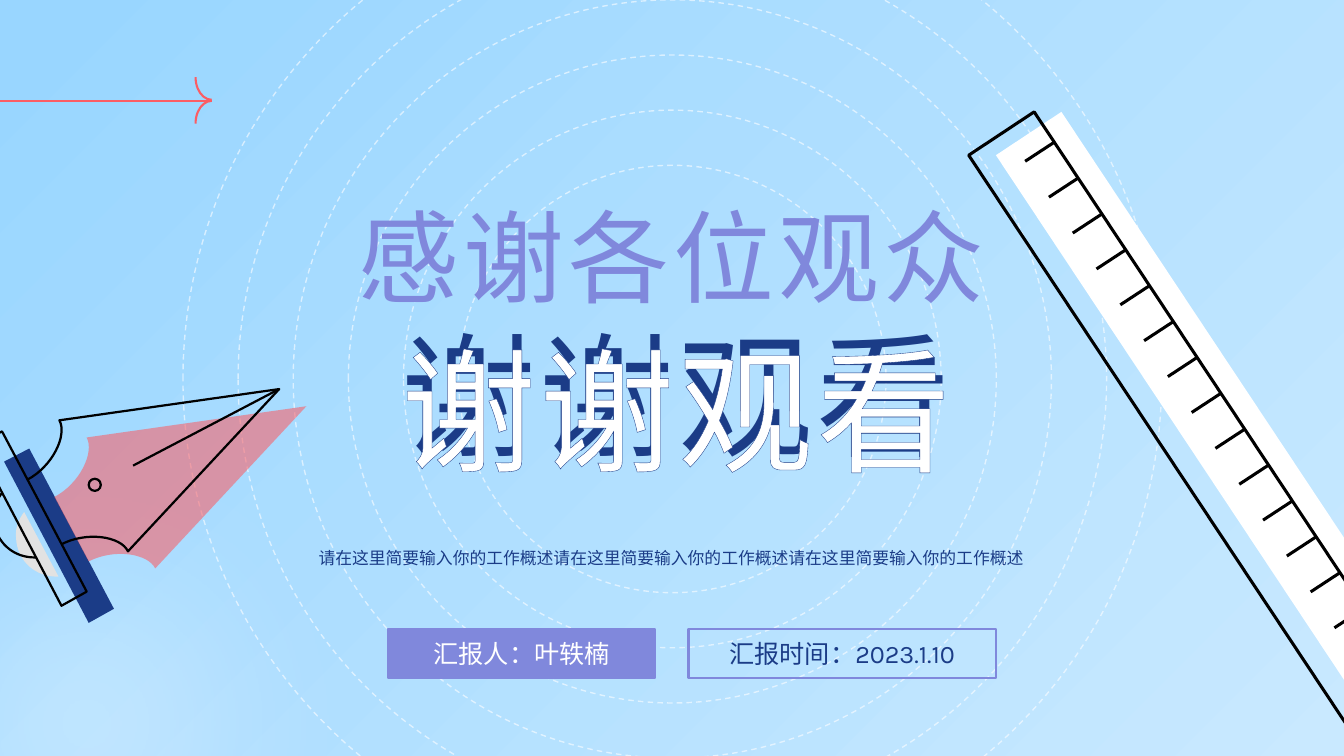
from lxml.etree import SubElement
from pptx import Presentation
from pptx.dml.color import RGBColor
from pptx.enum.dml import MSO_LINE
from pptx.enum.shapes import MSO_CONNECTOR, MSO_SHAPE
from pptx.enum.text import MSO_ANCHOR, MSO_AUTO_SIZE, PP_ALIGN
from pptx.oxml.ns import qn
from pptx.util import Inches, Pt

CELL = Inches(0.1)  # grid: 133.33 columns by 75 rows
COLS, ROWS = 133.33, 75
NAVY = RGBColor(0x1B, 0x3C, 0x87)
VIOLET = RGBColor(0x80, 0x88, 0xDC)
RED = RGBColor(0xFB, 0x5D, 0x64)
WHITE = RGBColor(0xFF, 0xFF, 0xFF)
BLACK = RGBColor(0, 0, 0)
GREY = RGBColor(0xE2, 0xE2, 0xE2)
PALE = RGBColor(0xC9, 0xE9, 0xFF)
SKY = RGBColor(0x99, 0xD6, 0xFF)
SANS = "Noto Sans CJK SC"
GOTHIC = "Noto Sans CJK JP"


def grid(*cells):
    return [round(cell * CELL) for cell in cells]


def fade(part, share):
    """Set the opacity, in percent, of each colour in a shape."""
    for color in part.element.spPr.iter(qn("a:srgbClr")):
        SubElement(color, qn("a:alpha"), val=str(share * 1000))


def paint(part, fill=None, line=None, width=1.5, share=None):
    part.shadow.inherit = False
    if fill is None:
        part.fill.background()
    else:
        part.fill.solid()
        part.fill.fore_color.rgb = fill
    if line is None:
        part.line.fill.background()
    else:
        part.line.color.rgb = line
        part.line.width = Pt(width)
    if share:
        fade(part, share)
    return part


def add_form(home, kind, box, **look):
    return paint(home.shapes.add_shape(kind, *grid(*box)), **look)


def add_glow(slide, x, y, size, color, share):
    glow = add_form(slide, MSO_SHAPE.OVAL, (x, y, size, size), fill=color, share=share)
    soft = glow.element.spPr.find(qn("a:effectLst"))
    SubElement(soft, qn("a:softEdge"), rad=str(Inches(2)))


def curve(start, *ends, steps=16):
    """Points along a cubic curve, after its start."""
    knots = (start, *ends)
    points = []
    for step in range(1, steps + 1):
        t = step / steps
        rates = ((1 - t) ** 3, 3 * t * (1 - t) ** 2, 3 * t * t * (1 - t), t ** 3)
        points.append(tuple(sum(r * k[axis] for r, k in zip(rates, knots)) for axis in (0, 1)))
    return points


def add_path(home, points, shift=(0, 0), close=False, **look):
    spots = [grid(x + shift[0], y + shift[1]) for x, y in points]
    pen = home.shapes.build_freeform(*spots[0])
    pen.add_line_segments(spots[1:], close=close)
    return paint(pen.convert_to_shape(), **look)


def write(part, text, size, font, color, asian=None, gap=0, edge=False, lead=1.0,
          anchor=MSO_ANCHOR.TOP):
    frame = part.text_frame
    para = frame.paragraphs[0]
    run = para.add_run()
    run.text = text
    looks = (
        (frame, dict(word_wrap=True, auto_size=MSO_AUTO_SIZE.NONE, vertical_anchor=anchor)),
        (para, dict(alignment=PP_ALIGN.CENTER, line_spacing=lead, space_before=Pt(0))),
        (run.font, dict(size=Pt(size), name=font)),
    )
    for item, values in looks:
        for name, value in values.items():
            setattr(item, name, value)
    run.font.color.rgb = color
    props = run.font._element
    if gap:
        props.set("spc", str(gap * 100))
    latin = props.find(qn("a:latin"))
    east = SubElement(props, qn("a:ea"), typeface=asian or font)
    latin.addnext(east)
    if edge:
        line = SubElement(props, qn("a:ln"), w=str(Pt(1)))
        solid = SubElement(line, qn("a:solidFill"))
        SubElement(solid, qn("a:srgbClr"), val=str(NAVY))
        props.insert(0, line)


def add_label(slide, box, *words, **look):
    write(slide.shapes.add_textbox(*grid(*box)), *words, **look)


def place(holder, box, *words, **look):
    """Move a placeholder to a box, in front of all else, and fill it."""
    holder.left, holder.top, holder.width, holder.height = grid(*box)
    holder.element.getparent().append(holder.element)
    write(holder, *words, **look)


def add_rings(slide):
    home = slide.shapes.add_group_shape()
    for rank in range(6):
        size = 42.4 + 10.94 * rank
        ring = add_form(home, MSO_SHAPE.OVAL, (66.7 - size / 2, 37.6 - size / 2, size, size),
                        line=WHITE, width=1)
        ring.line.dash_style = MSO_LINE.DASH
        fade(ring, 59)


def add_arrow(slide):
    home = slide.shapes.add_group_shape()
    shaft = home.shapes.add_connector(MSO_CONNECTOR.STRAIGHT, *grid(-5.6, 10, 21, 10))
    shaft.line.color.rgb = RED
    shaft.line.width = Pt(1.5)
    SubElement(shaft.element.spPr, qn("a:effectLst"))
    for top, flip in ((5.4, "0"), (10, "1")):
        barb = add_form(home, MSO_SHAPE.ARC, (19.4, top, 3.2, 4.5), line=RED)
        barb.rotation = 180
        barb.element.spPr.xfrm.set("flipV", flip)


def add_pen(slide):
    home = slide.shapes.add_group_shape()
    clip = [(5.8, 57.2), *curve((5.8, 57.2), (3.6, 57.3), (1.7, 55.7), (1.6, 53.4)),
            *curve((1.6, 53.4), (1.5, 52.5), (1.8, 51.6), (2.4, 50.8))]
    band = [(2.9, 44.5), (11.3, 60.4), (8.8, 61.8), (0.4, 45.8)]
    nib = [(8.8, 55.7), *curve((8.8, 55.7), (11.3, 54.4), (14.7, 54.9), (15.4, 56.4)),
           (30.4, 40.3), (8.6, 43.4),
           *curve((8.6, 43.4), (9.4, 44.9), (7.9, 48), (5.4, 49.3))]
    ink = dict(line=BLACK, width=1.59)
    shift = (-2.7, -1.7)
    # Colour areas
    add_path(home, clip, fill=GREY)
    add_path(home, band, close=True, fill=NAVY)
    add_path(home, nib, fill=RED, share=57)
    # Outlines, set off from the colour
    add_path(home, band, shift, close=True, **ink)
    add_path(home, clip, (-2.2, -1.9), **ink)
    add_path(home, [(27.7, 38.6), (13.2, 46.2)], **ink)
    add_form(home, MSO_SHAPE.OVAL, (8.8, 47.5, 1.2, 1.2), **ink)
    add_path(home, nib, shift, **ink)


def add_ruler(slide):
    home = slide.shapes.add_group_shape()
    body = [(98.8, 15.4), (105.3, 11.1), (147.9, 75.3), (141.4, 79.6)]
    ink = dict(line=BLACK, width=2.18)
    add_path(home, body, close=True, fill=WHITE)
    add_path(home, body, (-2.7, 0), close=True, **ink)
    for mark in range(14):
        add_path(home, [(104.6, 14.1), (101.7, 16)], (2.36 * mark, 3.56 * mark), **ink)


def add_tags(slide):
    home = slide.shapes.add_group_shape()
    tags = (
        (38.5, 26.5, "汇报人：叶轶楠", SANS, WHITE, VIOLET),
        (68.3, 30.5, "汇报时间：2023.1.10", "Karla", NAVY, None),
    )
    for left, width, text, font, color, fill in tags:
        tag = add_form(home, MSO_SHAPE.RECTANGLE, (left, 62.4, width, 4.9), fill=fill, line=VIOLET)
        write(tag, text, 18, font, color, asian=SANS, anchor=MSO_ANCHOR.MIDDLE)


def main():
    deck = Presentation()
    deck.slide_width, deck.slide_height = grid(COLS, ROWS)
    slide = deck.slides.add_slide(deck.slide_layouts[0])
    title, note = slide.placeholders

    # Backdrop
    back = slide.background.fill
    back.gradient()
    back.gradient_angle = 135
    for stop, color, spot in zip(back.gradient_stops, (PALE, SKY), (0, 0.97)):
        stop.color.rgb = color
        stop.position = spot
    add_glow(slide, 101, -21.7, 55.2, RED, 74)
    add_glow(slide, -29.7, 33.5, 76.7, WHITE, 43)
    add_rings(slide)
    add_glow(slide, 79.8, 48.4, 42.4, VIOLET, 72)

    # Headings
    add_label(slide, (26.8, 18.8, 79.7, 13.1), "感谢各位观众", 72, "Lato", VIOLET, gap=3)
    thanks = ("谢谢观看", 96, GOTHIC)
    style = dict(gap=3, edge=True, lead=0.9)
    add_label(slide, (29, 32.3, 76.2, 17.2), *thanks, NAVY, **style)
    add_arrow(slide)
    place(title, (29, 33.8, 76.2, 17.2), *thanks, WHITE, **style)
    place(note, (28.5, 52.8, 76.2, 3.8), "请在这里简要输入你的工作概述" * 3, 12, "Lato", NAVY, lead=1.5)

    # Drawings and tags
    add_pen(slide)
    add_ruler(slide)
    add_tags(slide)
    deck.save("out.pptx")


if __name__ == "__main__":
    main()
